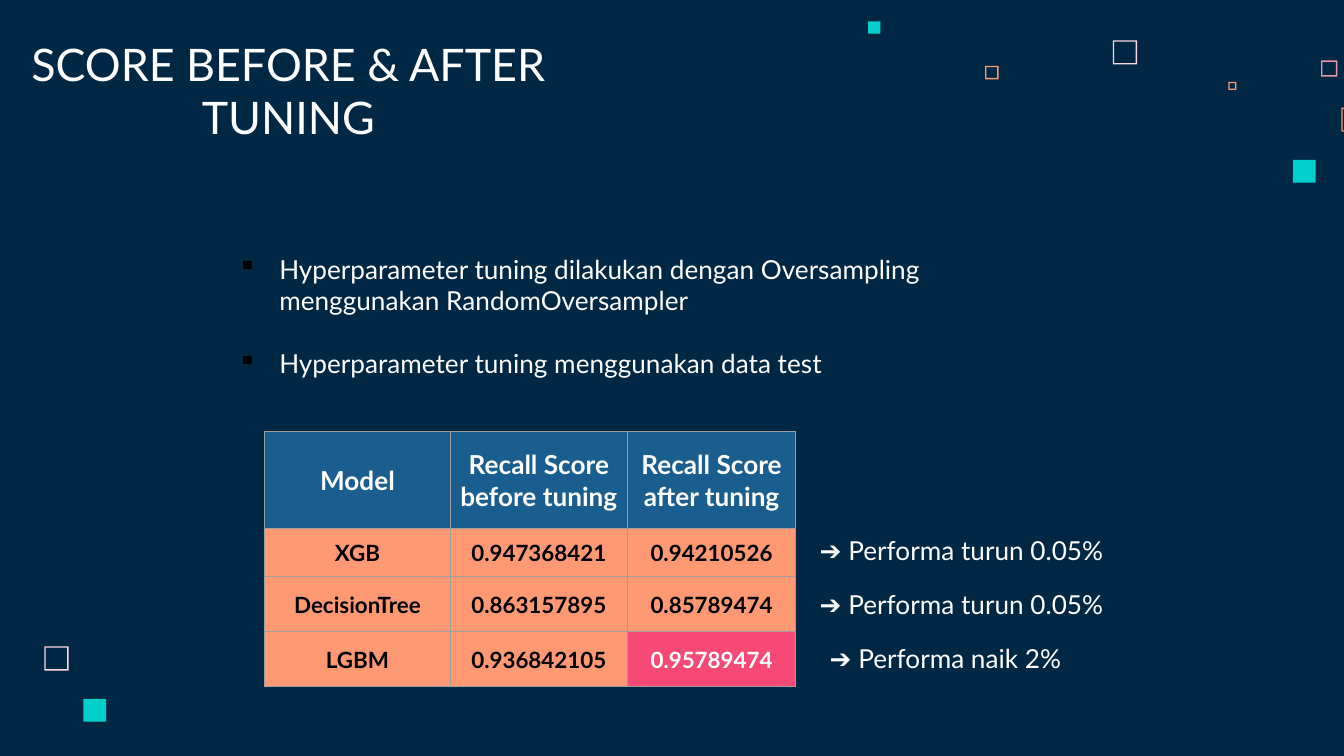
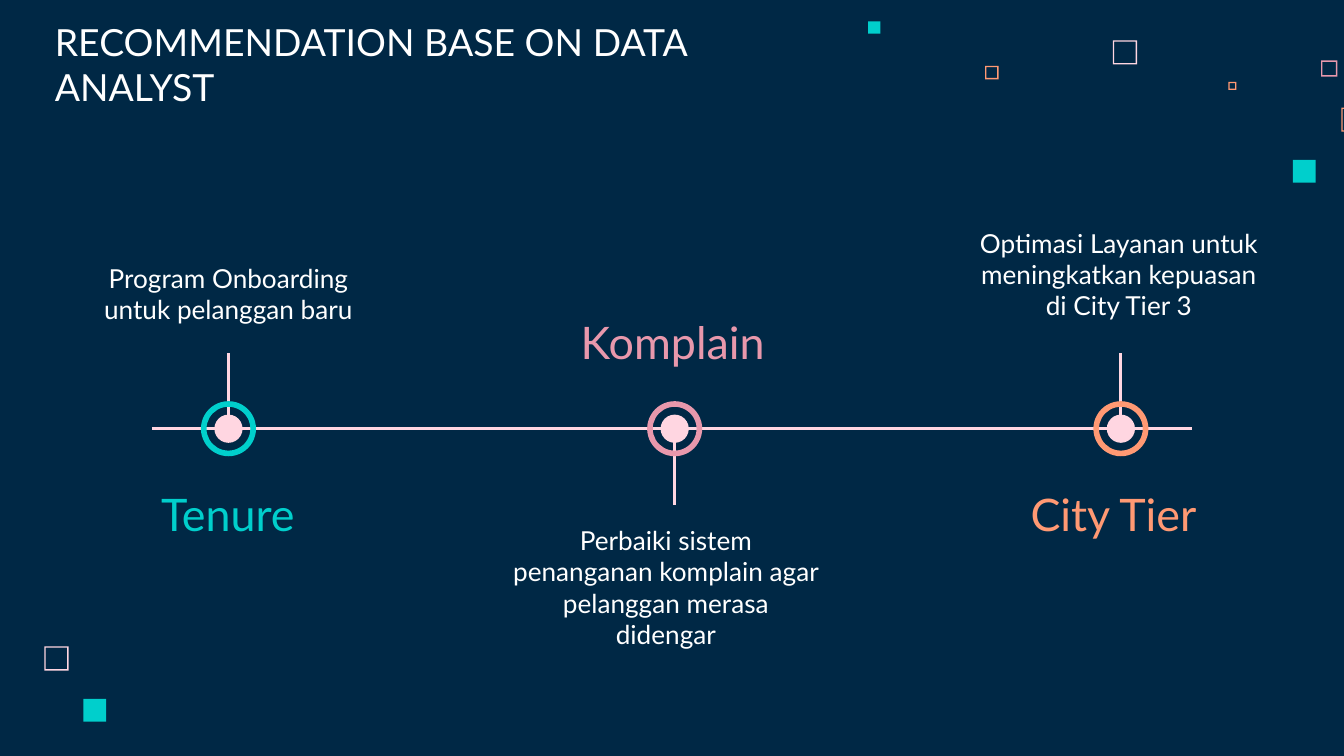
from dataclasses import dataclass

from lxml import etree
from pptx import Presentation
from pptx import util as u
from pptx.dml.color import RGBColor
from pptx.enum import shapes, text
from pptx.oxml import ns


@dataclass(frozen=True)
class Theme:
    font: str = "Lato"
    navy: str = "002845"
    white: str = "FFFFFF"
    black: str = "000000"
    blush: str = "FFD6E1"
    pink: str = "E898AC"
    orange: str = "FF9973"
    teal: str = "00CFCC"
    blue: str = "1A5E8F"
    rose: str = "F64975"
    grey: str = "9E9E9E"
    title: int = 24
    long_title: int = 20
    body: int = 14
    cell: int = 12
    line: float = 1.5
    border: float = 0.75


THEME = Theme()
CENTER = text.PP_ALIGN.CENTER
TOP, MIDDLE, BOTTOM = (text.MSO_ANCHOR.TOP, text.MSO_ANCHOR.MIDDLE,
                       text.MSO_ANCHOR.BOTTOM)
SQUARE = shapes.MSO_SHAPE.RECTANGLE
FRAME = shapes.MSO_SHAPE.FRAME

SQUARES = [
    (FRAME, 8.28, 0.3, 0.18, THEME.blush),
    (FRAME, 9.83, 0.45, 0.12, THEME.pink),
    (FRAME, 9.14, 0.61, 0.06, THEME.orange),
    (FRAME, 9.98, 0.8, 0.18, THEME.orange),
    (SQUARE, 9.62, 1.19, 0.17, THEME.teal),
    (FRAME, 7.33, 0.49, 0.1, THEME.orange),
    (SQUARE, 6.46, 0.16, 0.09, THEME.teal),
    (FRAME, 0.33, 4.81, 0.18, THEME.blush),
    (SQUARE, 0.62, 5.2, 0.17, THEME.teal),
]

SCORES = [
    ("Model", "Recall Score before tuning", "Recall Score after tuning"),
    ("XGB", "0.947368421", "0.94210526"),
    ("DecisionTree", "0.863157895", "0.85789474"),
    ("LGBM", "0.936842105", "0.95789474"),
]


def rgb(color):
    return RGBColor.from_string(color)


def add_xml(parent, tag, **attributes):
    return etree.SubElement(parent, ns.qn(tag), **attributes)


def write(paragraph, content, size=THEME.body, color=THEME.white,
          bold=False, align=None):
    paragraph.alignment = align
    span = paragraph.add_run()
    span.text = content
    span.font.name = THEME.font
    span.font.size = u.Pt(size)
    span.font.bold = bold
    span.font.color.rgb = rgb(color)


def add_text(page, bounds, *contents, anchor=BOTTOM, bullet=None, gap=0,
             **style):
    box = page.shapes.add_textbox(*map(u.Inches, bounds))
    frame = box.text_frame
    frame.word_wrap = True
    frame.vertical_anchor = anchor
    frame.margin_left = frame.margin_right = u.Inches(0.1)
    frame.margin_top = frame.margin_bottom = u.Inches(0.1)
    for index, content in enumerate(contents):
        para = frame.add_paragraph() if index else frame.paragraphs[0]
        if index:
            para.space_before = u.Pt(gap)
        if bullet:
            add_bullet(para, bullet)
        write(para, content, **style)


def add_bullet(paragraph, symbol):
    properties = paragraph._p.get_or_add_pPr()
    indent = u.Inches(0.31)
    properties.set("marL", str(indent))
    properties.set("indent", str(-indent))
    add_xml(add_xml(properties, "a:buClr"), "a:srgbClr", val=THEME.black)
    add_xml(properties, "a:buChar", char=symbol)


def add_solid(container, preset, left, top, size, color, thickness=None):
    solid = container.shapes.add_shape(
        preset, *map(u.Inches, (left, top, size, size)))
    solid.shadow.inherit = False
    solid.fill.solid()
    solid.fill.fore_color.rgb = rgb(color)
    solid.line.fill.background()
    if thickness:
        solid.adjustments[0] = thickness / size


def add_line(page, *ends):
    line = page.shapes.add_connector(
        shapes.MSO_CONNECTOR.STRAIGHT, *map(u.Inches, ends))
    line.line.color.rgb = rgb(THEME.blush)
    line.line.width = u.Pt(THEME.line)
    add_xml(line._element.spPr, "a:effectLst")


def add_page(deck):
    page = deck.slides.add_slide(deck.slide_layouts[6])
    page.background.fill.solid()
    page.background.fill.fore_color.rgb = rgb(THEME.navy)
    for preset, left, top, size, color in SQUARES:
        add_solid(page, preset, left, top, size, color,
                  0.01 if preset == FRAME else None)
    return page


def border_cell(cell):
    properties = cell._tc.get_or_add_tcPr()
    for position, side in enumerate(("a:lnL", "a:lnR", "a:lnT", "a:lnB")):
        edge = etree.Element(ns.qn(side), w=str(u.Pt(THEME.border)))
        add_xml(add_xml(edge, "a:solidFill"), "a:srgbClr", val=THEME.grey)
        properties.insert(position, edge)


def fill_cell(cell, content, fill, **style):
    cell.fill.solid()
    cell.fill.fore_color.rgb = rgb(fill)
    cell.vertical_anchor = MIDDLE
    cell.margin_left = cell.margin_right = cell.margin_top = u.Inches(0.01)
    cell.margin_bottom = 0
    write(cell.text_frame.paragraphs[0], content, bold=True, align=CENTER,
          **style)
    border_cell(cell)


def add_score_table(page, bounds, widths, heights):
    table = page.shapes.add_table(
        len(heights), len(widths), *map(u.Inches, bounds)).table
    table.first_row = table.horz_banding = False
    for column, width in zip(table.columns, widths):
        column.width = u.Inches(width)
    for row, height in zip(table.rows, heights):
        row.height = u.Inches(height)
    for i, values in enumerate(SCORES):
        for j, value in enumerate(values):
            cell = table.cell(i, j)
            if i == 0:
                fill_cell(cell, value, THEME.blue)
            elif (i, j) == (3, 2):
                fill_cell(cell, value, THEME.rose, size=THEME.cell)
            else:
                fill_cell(cell, value, THEME.orange, size=THEME.cell,
                          color=THEME.black)


def add_milestone(page, center, color):
    group = page.shapes.add_group_shape()
    for preset, size, shade, thickness in (
            (shapes.MSO_SHAPE.OVAL, 0.21, THEME.blush, None),
            (shapes.MSO_SHAPE.DONUT, 0.41, color, 0.042)):
        add_solid(group, preset, center - size / 2, 3.19 - size / 2, size,
                  shade, thickness)


def build_scores(deck):
    page = add_page(deck)
    add_score_table(page, (1.97, 3.21, 3.95, 1.9), (1.38, 1.32, 1.25),
                    (0.72, 0.36, 0.41, 0.41))
    add_text(page, (-0.18, 0.35, 4.65, 0.82), "SCORE BEFORE & AFTER TUNING",
             size=THEME.title, align=CENTER)
    add_text(page, (1.67, 1.6, 5.64, 1.32),
             "Hyperparameter tuning dilakukan dengan Oversampling "
             "menggunakan RandomOversampler",
             "Hyperparameter tuning menggunakan data test",
             bullet="▪", gap=17)
    notes = [(5.86, "➔ Performa turun 0.05%"),
             (5.86, "➔ Performa turun 0.05%"),
             (5.74, "➔ Performa naik 2%")]
    for index, (left, note) in enumerate(notes):
        add_text(page, (left, 3.94 + 0.4 * index, 2.59, 0.37), note,
                 align=CENTER)


def build_recommendations(deck):
    page = add_page(deck)
    add_text(page, (0.31, 0.28, 5.17, 0.63),
             "RECOMMENDATION BASE ON DATA ANALYST", size=THEME.long_title)
    add_line(page, 1.13, 3.19, 8.87, 3.19)
    milestones = [
        (1.7, 2.63, THEME.teal, "Tenure", (0.99, 3.59, 1.41, 0.47),
         "Program Onboarding untuk pelanggan baru",
         (0.67, 1.81, 2.06, 0.71), BOTTOM),
        (5.02, 3.26, THEME.pink, "Komplain", (4.15, 2.31, 1.71, 0.47),
         "Perbaiki sistem penanganan komplain agar pelanggan merasa didengar",
         (3.7, 3.8, 2.51, 0.71), TOP),
        (8.34, 2.63, THEME.orange, "City Tier", (7.52, 3.59, 1.53, 0.47),
         "Optimasi Layanan untuk meningkatkan kepuasan di City Tier 3",
         (7.17, 1.78, 2.31, 0.71), BOTTOM),
    ]
    for center, stem, color, name, name_at, advice, advice_at, anchor in milestones:
        add_line(page, center, stem, center, stem + 0.5)
        add_milestone(page, center, color)
        add_text(page, advice_at, advice, anchor=anchor, align=CENTER)
        add_text(page, name_at, name, anchor=MIDDLE, size=THEME.title,
                 color=color, align=CENTER)


def main():
    deck = Presentation()
    deck.slide_width = u.Inches(10)
    deck.slide_height = u.Inches(5.625)
    build_scores(deck)
    build_recommendations(deck)
    deck.save("out.pptx")


if __name__ == "__main__":
    main()
